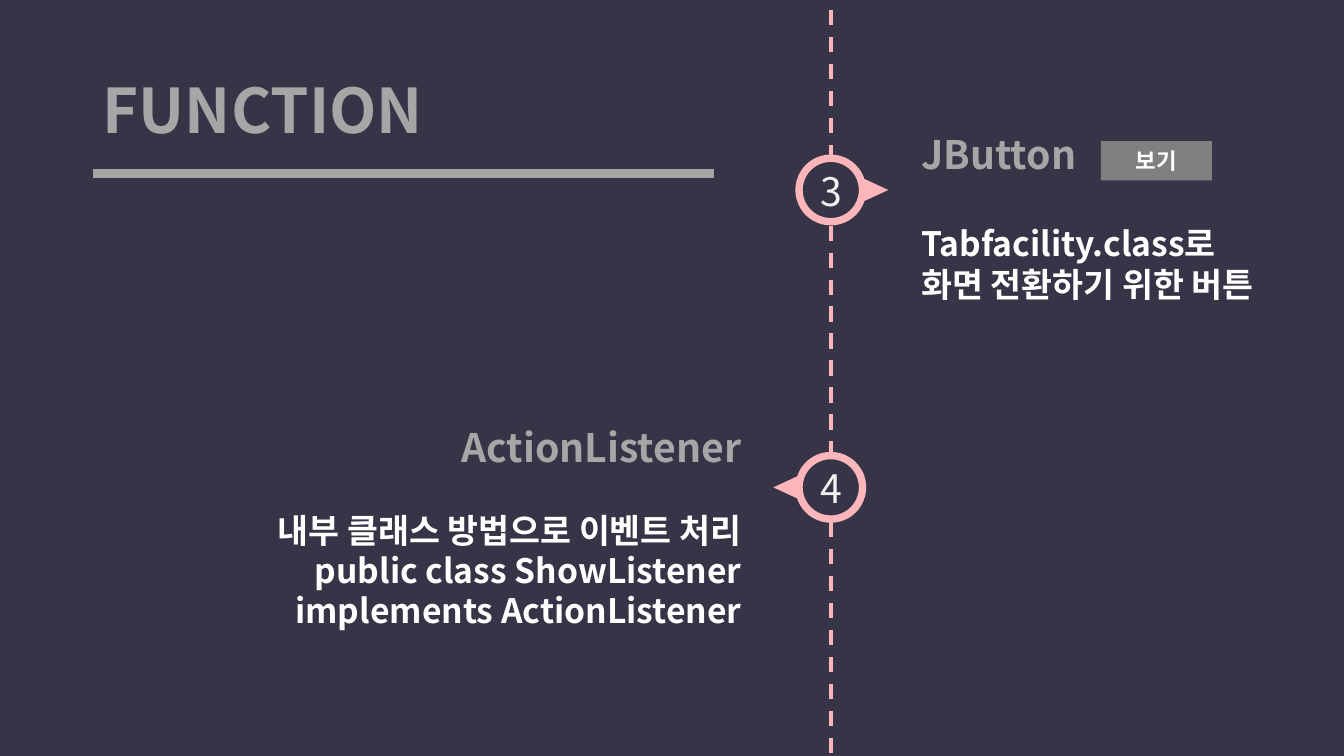
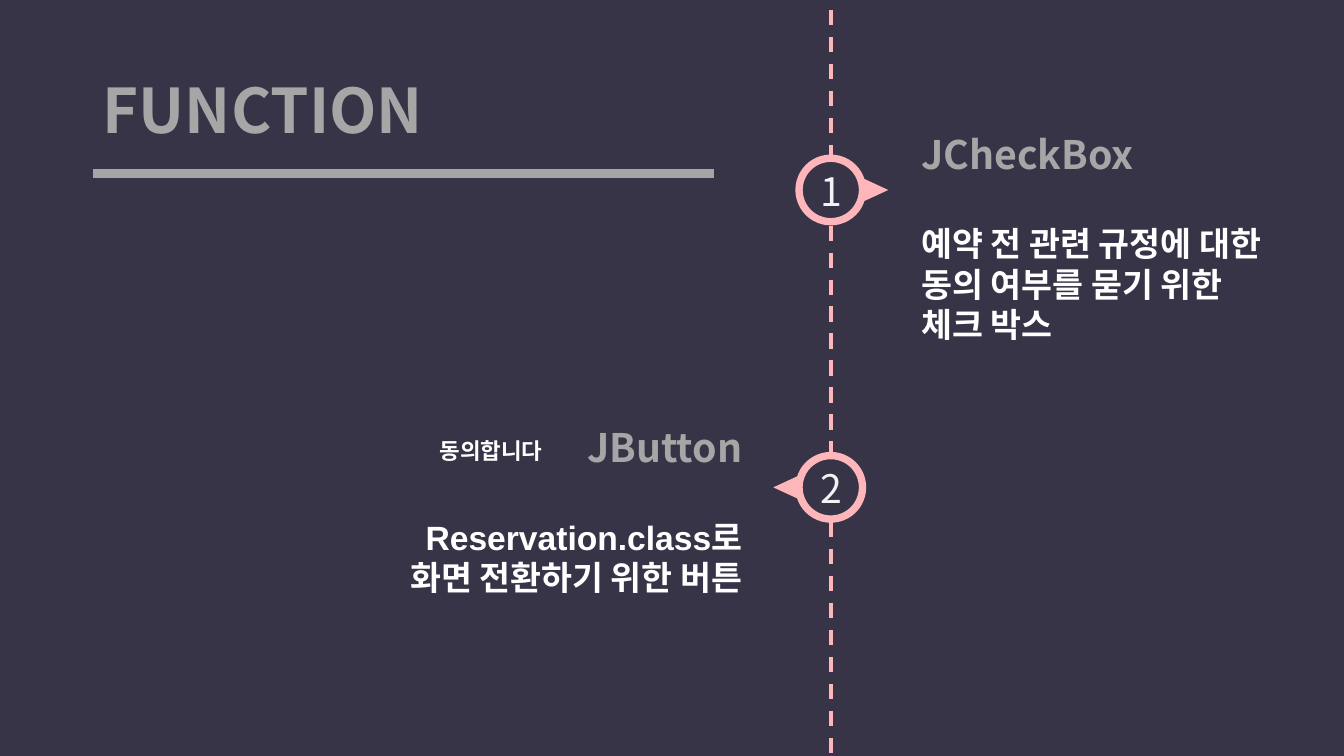
from lxml import etree
from pptx import Presentation
from pptx.dml.color import RGBColor
from pptx.enum.dml import MSO_LINE
from pptx.enum.shapes import MSO_CONNECTOR, MSO_SHAPE
from pptx.enum.text import MSO_ANCHOR, MSO_AUTO_SIZE, PP_ALIGN
from pptx.oxml.ns import qn
from pptx.util import Inches, Pt

BACKGROUND, PINK, WHITE, NUMBER = "373447", "FFB6BA", "FFFFFF", "F2F2F2"
HEADING, RULE, BUTTON = "A6A6A6", "A5A5A5", "808080"
FONT = "Noto Sans CJK KR"
TIMELINE_X = 8.24
BADGE_SIZE = 0.63
POINTER_WIDTH, POINTER_HEIGHT = 0.24, 0.26

# start, end, colour, width, dash
LINES = [
    ((0.92, 1.72), (7.08, 1.72), RULE, 6, None),
    ((TIMELINE_X, 0.1), (TIMELINE_X, 7.5), PINK, 2.75, MSO_LINE.DASH),
]

# badge top, pointer left, pointer rotation, text alignment
STEP_SIDES = [
    (1.57, 8.56, 90, PP_ALIGN.LEFT),
    (4.52, 7.68, 270, PP_ALIGN.RIGHT),
]

SLIDES = [
    {
        "steps": [
            {"number": "3", "box": (9.04, 1.24, 4.01, 1.85), "heading": "JButton", "gap": 33,
             "font": FONT, "lines": ["Tabfacility.class로", "화면 전환하기 위한 버튼"]},
            {"number": "4", "box": (0.35, 4.15, 7.1, 2.49), "heading": "ActionListener", "gap": 28,
             "font": FONT, "lines": ["내부 클래스 방법으로 이벤트 처리", "public class ShowListener",
                                     "implements ActionListener"]},
        ],
        "button": ("보기", (10.92, 1.4, 1.1, 0.39), True),
    },
    {
        "steps": [
            {"number": "1", "box": (9.04, 1.24, 4.04, 2.26), "heading": "JCheckBox", "gap": 33,
             "font": FONT, "lines": ["예약 전 관련 규정에 대한", "동의 여부를 묻기 위한", "체크 박스"]},
            {"number": "2", "box": (3.04, 4.15, 4.42, 1.85), "heading": "JButton", "gap": 33,
             "font": "Arial", "lines": ["Reservation.class로", "화면 전환하기 위한 버튼"]},
        ],
        "button": ("동의합니다", (4.18, 4.27, 1.38, 0.39), False),
    },
]


def rgb(color):
    return RGBColor.from_string(color)


def add_run(paragraph, text, size, color, bold=True, font=FONT):
    """Append a run with the same font family for Latin; Korean always uses FONT."""
    run = paragraph.add_run()
    run.text = text
    run.font.size = Pt(size)
    run.font.bold = bold
    run.font.color.rgb = rgb(color)
    run.font.name = font
    east_asian = etree.SubElement(run.font._element, qn("a:ea"))
    east_asian.set("typeface", FONT)


presentation = Presentation()
presentation.slide_width = Inches(13.33)
presentation.slide_height = Inches(7.5)

background = presentation.slide_master.background.fill
background.solid()
background.fore_color.rgb = rgb(BACKGROUND)

layout = presentation.slide_layouts.get_by_name("Title Only")
layout_title = layout.placeholders[0]
layout_title.left, layout_title.top = Inches(0.92), Inches(0.4)
layout_title.width, layout_title.height = Inches(11.5), Inches(1.45)

for content in SLIDES:
    slide = presentation.slides.add_slide(layout)
    shapes = slide.shapes

    shapes.title.text_frame.vertical_anchor = MSO_ANCHOR.MIDDLE
    paragraph = shapes.title.text_frame.paragraphs[0]
    paragraph.alignment = PP_ALIGN.LEFT
    paragraph.line_spacing = 0.9
    add_run(paragraph, "FUNCTION", 44, HEADING)

    for start, end, color, width, dash in LINES:
        line = shapes.add_connector(MSO_CONNECTOR.STRAIGHT, *map(Inches, start + end))
        line.line.color.rgb = rgb(color)
        line.line.width = Pt(width)
        if dash:
            line.line.dash_style = dash
        etree.SubElement(line._element.spPr, qn("a:effectLst"))

    for step, (top, pointer_left, rotation, alignment) in zip(content["steps"], STEP_SIDES):
        badge = shapes.add_group_shape()
        circle = badge.shapes.add_shape(
            MSO_SHAPE.OVAL, Inches(TIMELINE_X - BADGE_SIZE / 2), Inches(top),
            Inches(BADGE_SIZE), Inches(BADGE_SIZE))
        circle.fill.solid()
        circle.fill.fore_color.rgb = rgb(BACKGROUND)
        circle.line.color.rgb = rgb(PINK)
        circle.line.width = Pt(5.25)
        circle.shadow.inherit = False

        pointer = badge.shapes.add_shape(
            MSO_SHAPE.ISOSCELES_TRIANGLE, Inches(pointer_left),
            Inches(top + (BADGE_SIZE - POINTER_HEIGHT) / 2),
            Inches(POINTER_WIDTH), Inches(POINTER_HEIGHT))
        pointer.rotation = rotation
        pointer.fill.solid()
        pointer.fill.fore_color.rgb = rgb(PINK)
        pointer.line.fill.background()
        pointer.shadow.inherit = False

        number = shapes.add_textbox(Inches(8.04), Inches(top + 0.04), Inches(0.41), Inches(0.57))
        number.text_frame.word_wrap = False
        number.text_frame.auto_size = MSO_AUTO_SIZE.SHAPE_TO_FIT_TEXT
        add_run(number.text_frame.paragraphs[0], step["number"], 28, NUMBER, bold=False)

        description = shapes.add_textbox(*map(Inches, step["box"]))
        frame = description.text_frame
        frame.word_wrap = True
        frame.auto_size = MSO_AUTO_SIZE.SHAPE_TO_FIT_TEXT
        paragraph = frame.paragraphs[0]
        paragraph.alignment = alignment
        paragraph.space_after = Pt(step["gap"])
        add_run(paragraph, step["heading"], 28, HEADING)
        for text in step["lines"]:
            paragraph = frame.add_paragraph()
            paragraph.alignment = alignment
            add_run(paragraph, text, 24, WHITE, font=step["font"])

    label, box, filled = content["button"]
    button = shapes.add_shape(MSO_SHAPE.RECTANGLE, *map(Inches, box))
    if filled:
        button.fill.solid()
        button.fill.fore_color.rgb = rgb(BUTTON)
    else:
        button.fill.background()
    button.line.fill.background()
    button.shadow.inherit = False
    button.text_frame.vertical_anchor = MSO_ANCHOR.MIDDLE
    paragraph = button.text_frame.paragraphs[0]
    paragraph.alignment = PP_ALIGN.CENTER
    add_run(paragraph, label, 16, WHITE)

presentation.save("out.pptx")
